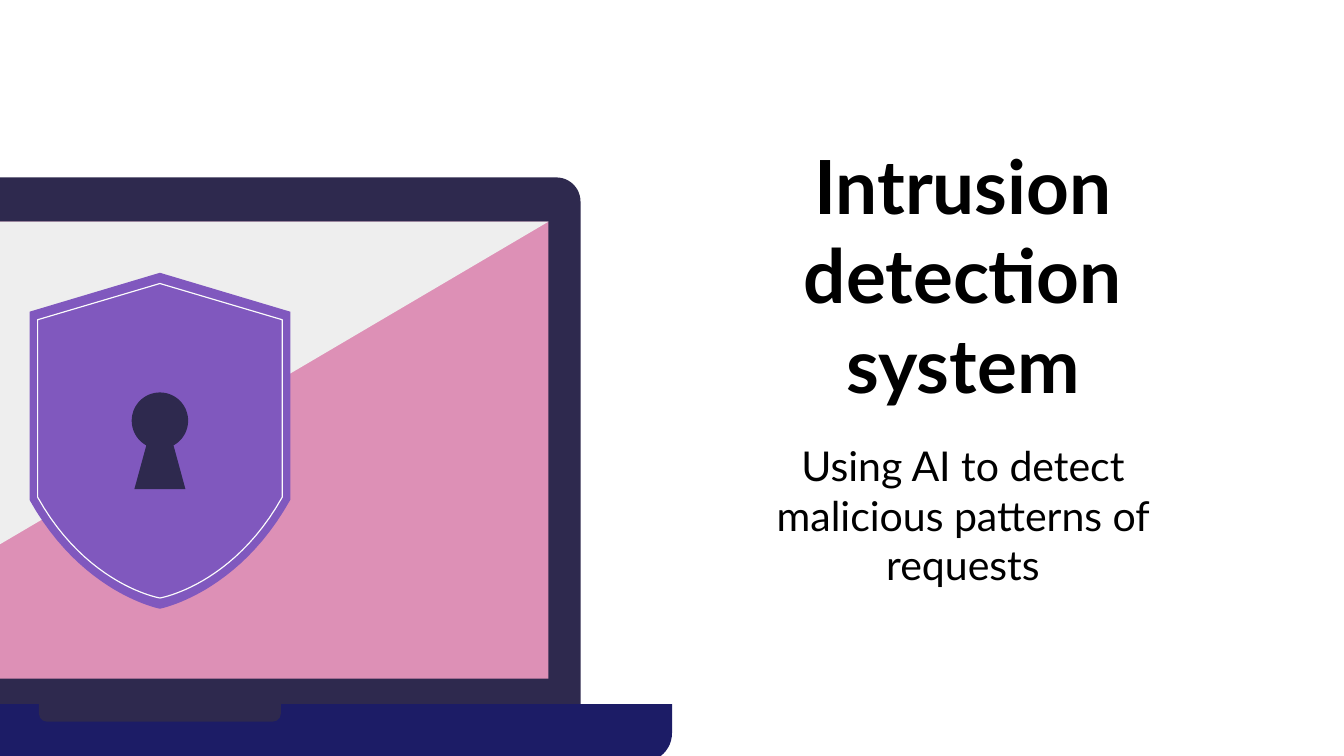
from dataclasses import dataclass
from math import cos, radians, sin

from pptx import Presentation
from pptx.dml.color import RGBColor
from pptx.enum.shapes import MSO_SHAPE
from pptx.enum.text import MSO_ANCHOR, MSO_AUTO_SIZE, PP_ALIGN
from pptx.util import Inches, Pt

RECT = MSO_SHAPE.RECTANGLE
ROUND = MSO_SHAPE.ROUND_2_SAME_RECTANGLE
TOP, BOTTOM = MSO_ANCHOR.TOP, MSO_ANCHOR.BOTTOM
FIXED = MSO_AUTO_SIZE.NONE
CENTER = PP_ALIGN.CENTER


@dataclass(frozen=True)
class Theme:
    """Colours, font and type sizes of the slide."""
    white: str = "FFFFFF"
    ink: str = "000000"
    dark: str = "2E294E"
    pink: str = "DD90B6"
    navy: str = "1C1C66"
    pale: str = "EEEEEE"
    violet: str = "8058BE"
    edge: str = "FCFCFC"
    font: str = "Lato"
    title: int = 40
    body: int = 22
    hair: float = 0.61


THEME = Theme()
AXIS = 1.19


def rgb(code):
    """Turn a hex code into a colour."""
    return RGBColor.from_string(code)


def paint(shape, fill=None, line=None):
    """Give a shape a plain fill or a hairline, and no shadow."""
    shape.shadow.inherit = False
    if fill:
        shape.fill.solid()
        shape.fill.fore_color.rgb = rgb(fill)
    else:
        shape.fill.background()
    if line:
        shape.line.color.rgb = rgb(line)
        shape.line.width = Pt(THEME.hair)
    else:
        shape.line.fill.background()


def add_panel(group, box, fill, top=0, bottom=0):
    """Add a rectangle with the given top and bottom corner radii."""
    kind = ROUND if top or bottom else RECT
    shape = group.shapes.add_shape(kind, *map(Inches, box))
    if kind == ROUND:
        short = min(box[2:])
        shape.adjustments[0] = min(top / short, 0.5)
        shape.adjustments[1] = min(bottom / short, 0.5)
    paint(shape, fill)


def add_path(group, points, fill=None, line=None):
    """Add a closed outline through points in inches."""
    spots = [(Inches(x), Inches(y)) for x, y in points]
    pen = group.shapes.build_freeform(*spots[0], scale=1.0)
    pen.add_line_segments(spots[1:], close=True)
    paint(pen.convert_to_shape(), fill, line)


def mirror(half):
    """Complete a right half, listed top to bottom, across the axis."""
    return half + [(2 * AXIS - x, y) for x, y in reversed(half)]


def curve(start, pull, end, steps=24):
    """Sample a cubic curve whose second handle sits on its end."""
    weights = [((1 - t) ** 3, 3 * t * (1 - t) ** 2, 3 * t * t - 2 * t ** 3)
               for t in (n / steps for n in range(steps + 1))]
    return [tuple(a * p + b * q + c * r for p, q, r in zip(start, pull, end))
            for a, b, c in weights]


def add_shield(group, top, arm, hip, tip, reach, pull, **style):
    """Add a shield from its heights, half width and lower curve."""
    side = AXIS + reach
    low = curve((side, hip), pull, (AXIS, tip))
    add_path(group, mirror([(AXIS, top), (side, arm)] + low), **style)


def add_keyhole(group):
    """Add the round keyhole with its flared foot."""
    radius, middle = 0.21, 3.13
    arc = [(AXIS + radius * sin(radians(a)), middle - radius * cos(radians(a)))
           for a in range(0, 156, 5)]
    add_path(group, mirror(arc + [(AXIS + 0.1, 3.31), (AXIS + 0.19, 3.64)]),
             fill=THEME.dark)


def add_laptop(slide):
    """Draw the laptop with a shield on its screen."""
    group = slide.shapes.add_group_shape()
    left, top, wide, high = screen = (-1.7, 1.65, 5.78, 3.4)
    add_panel(group, (-1.95, 1.32, 6.27, 3.92), THEME.dark, top=0.18)
    add_panel(group, screen, THEME.pink)
    add_panel(group, (-2.62, 5.24, 7.62, 0.43), THEME.navy, bottom=0.22)
    add_panel(group, (0.29, 5.24, 1.8, 0.13), THEME.dark, bottom=0.06)
    add_path(group, [(left, top), (left, top + high), (left + wide, top)],
             fill=THEME.pale)
    add_shield(group, 2.03, 2.32, 3.72, 4.53, 0.97, (1.77, 4.42),
               fill=THEME.violet)
    add_shield(group, 2.11, 2.38, 3.7, 4.45, 0.91, (1.73, 4.36),
               line=THEME.edge)
    add_keyhole(group)


def set_text(holder, text, box, size, anchor, bold=False):
    """Place and format a placeholder with one centred paragraph."""
    holder.left, holder.top, holder.width, holder.height = map(Inches, box)
    frame = holder.text_frame
    frame.text = text
    frame.word_wrap = True
    frame.auto_size = FIXED
    frame.vertical_anchor = anchor
    frame.margin_left = frame.margin_right = Inches(0.1)
    frame.margin_top = frame.margin_bottom = Inches(0.1)
    para = frame.paragraphs[0]
    para.alignment = CENTER
    para.space_before = Pt(0)
    para.line_spacing = 1.0
    para.font.name = THEME.font
    para.font.size = Pt(size)
    para.font.bold = bold
    para.font.color.rgb = rgb(THEME.ink)


def main():
    """Build the slide and save it."""
    deck = Presentation()
    deck.slide_width = Inches(10)
    deck.slide_height = deck.slide_width * 9 // 16
    slide = deck.slides.add_slide(deck.slide_layouts[0])
    slide.background.fill.solid()
    slide.background.fill.fore_color.rgb = rgb(THEME.white)
    set_text(slide.shapes.title, "Intrusion detection system",
             (5.21, 1.58, 3.91, 1.56), THEME.title, BOTTOM, bold=True)
    set_text(slide.placeholders[1],
             "Using AI to detect malicious patterns of requests",
             (5.21, 3.18, 3.91, 1.35), THEME.body, TOP)
    add_laptop(slide)
    deck.save("out.pptx")


if __name__ == "__main__":
    main()
